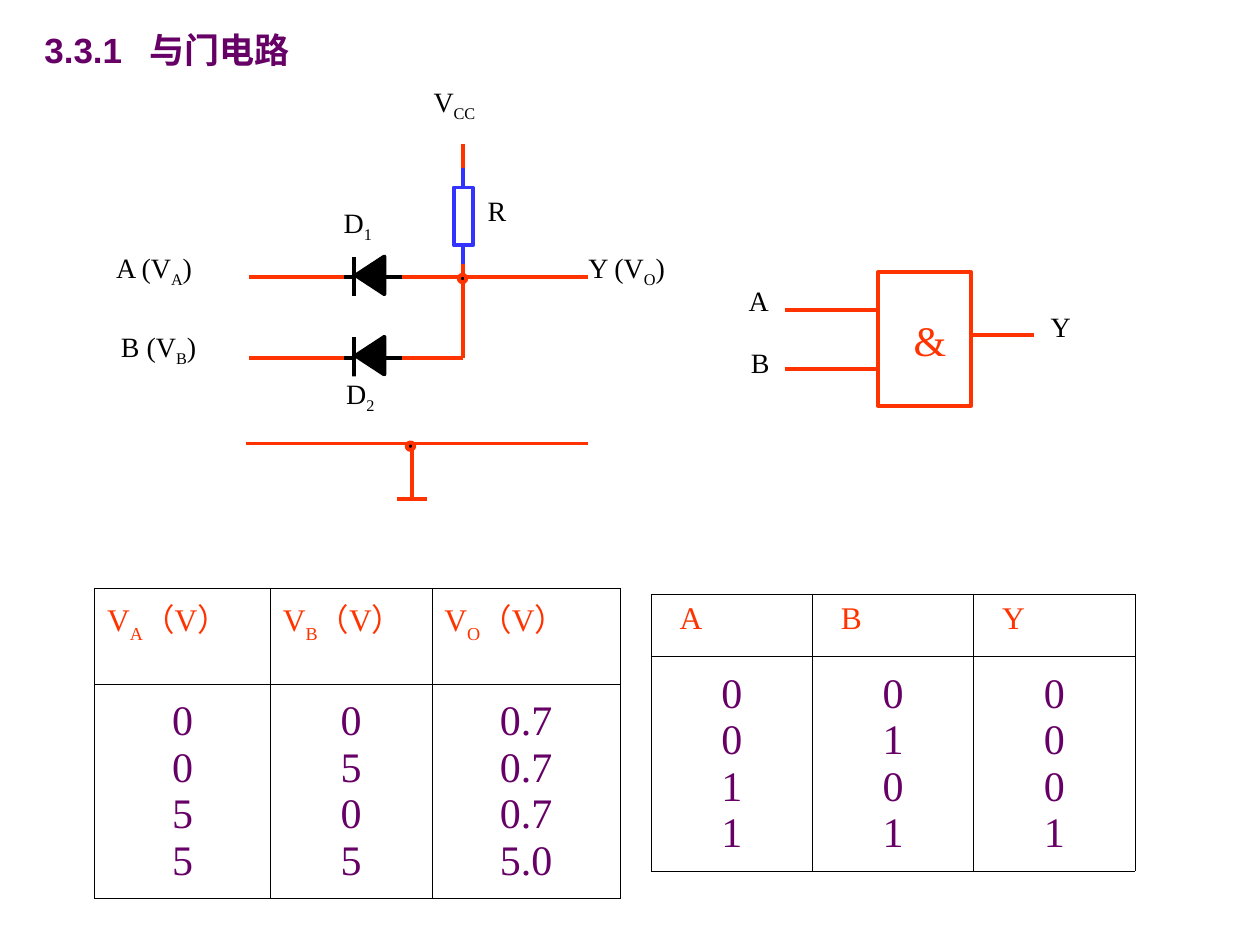
from dataclasses import dataclass

from lxml import etree
from pptx import Presentation
from pptx import util as u
from pptx.dml.color import RGBColor
from pptx.enum import shapes, text
from pptx.oxml import ns


@dataclass(frozen=True)
class Theme:
    """Colours, fonts and sizes of the slide."""
    red: RGBColor = RGBColor(0xFF, 0x33, 0x00)
    blue: RGBColor = RGBColor(0x33, 0x33, 0xFF)
    purple: RGBColor = RGBColor(0x66, 0x00, 0x66)
    black: RGBColor = RGBColor(0, 0, 0)
    white: RGBColor = RGBColor(0xFF, 0xFF, 0xFF)
    head: str = "Arial"
    body: str = "Times New Roman"
    title: int = 20
    label: int = 16
    header: int = 18
    value: int = 24
    wire: float = 2.25
    border: float = 0.45


T = Theme()
SHAPE = shapes.MSO_SHAPE


def style(p, size, color, name=T.body):
    """Set the font of a whole paragraph."""
    p.font.size, p.font.name = u.Pt(size), name
    p.font.color.rgb = color


def write(p, parts, drop):
    """Add runs to a paragraph, every second one a subscript."""
    for i, part in enumerate(parts):
        r = p.add_run()
        r.text = part
        if i % 2:
            r._r.get_or_add_rPr().set("baseline", str(-1000 * drop))


def wire(s, box, x1, y1, x2, y2, color=T.red):
    """Draw a straight wire in coordinates relative to the box."""
    x, y = box
    c = s.shapes.add_connector(shapes.MSO_CONNECTOR.STRAIGHT, u.Cm(x + x1),
                               u.Cm(y + y1), u.Cm(x + x2), u.Cm(y + y2))
    c.line.color.rgb, c.line.width = color, u.Pt(T.wire)
    etree.SubElement(c._element.spPr, ns.qn("a:effectLst"))
    return c


def part(s, box, kind, x, y, w, h, fill, line):
    """Draw an outlined component shape."""
    sp = s.shapes.add_shape(kind, u.Cm(box[0] + x), u.Cm(box[1] + y), u.Cm(w), u.Cm(h))
    sp.shadow.inherit = False
    sp.fill.solid()
    sp.fill.fore_color.rgb = fill
    sp.line.color.rgb, sp.line.width = line, u.Pt(T.wire)
    return sp


def label(s, box, x, y, w, h, parts, size=T.label, color=T.black):
    """Place a white label without margins."""
    sp = s.shapes.add_textbox(u.Cm(box[0] + x), u.Cm(box[1] + y), u.Cm(w), u.Cm(h))
    sp.fill.solid()
    sp.fill.fore_color.rgb = T.white
    tf = sp.text_frame
    tf.word_wrap = True
    tf.margin_left = tf.margin_right = tf.margin_top = tf.margin_bottom = 0
    p = tf.paragraphs[0]
    style(p, size, color)
    write(p, parts, 25)


def diode(s, box):
    """Draw a diode pointing left, starting at the box origin."""
    sp = part(s, box, SHAPE.ISOSCELES_TRIANGLE, 0.15, -0.33, 0.76, 0.58, T.black, T.black)
    sp.rotation = 270
    for ends in ((0.81, 0, 1.17, 0), (0, 0, 0.2, 0), (0.2, -0.41, 0.2, 0.38)):
        wire(s, box, *ends, color=T.black)


def resistor(s, box):
    """Draw a vertical resistor with both leads."""
    sp = part(s, box, SHAPE.RECTANGLE, 0, 0, 0.38, 1.17, T.white, T.blue)
    for site, start, end in ((0, 0, -0.4), (2, 1.17, 1.55)):
        wire(s, box, 0.19, start, 0.19, end, T.blue).begin_connect(sp, site)


def title(s, box):
    """Fill and place the title."""
    sp = s.shapes.title
    sp.left, sp.top = u.Cm(box[0]), u.Cm(box[1])
    sp.width, sp.height = u.Cm(6.15), u.Cm(1.12)
    tf = sp.text_frame
    tf.auto_size = text.MSO_AUTO_SIZE.NONE
    tf.vertical_anchor = text.MSO_ANCHOR.MIDDLE
    p = tf.paragraphs[0]
    p.alignment = text.PP_ALIGN.LEFT
    tabs = etree.SubElement(p._p.get_or_add_pPr(), ns.qn("a:tabLst"))
    etree.SubElement(tabs, ns.qn("a:tab"), pos=str(u.Cm(2.12)), algn="l")
    style(p, T.title, T.purple, T.head)
    p.font.bold = True
    write(p, ["3.3.1\t与门电路"], 0)


def circuit(s, box):
    """Draw the diode AND circuit."""
    x, y = box
    row_a, row_b, ground = 3.89, 5.51, 7.24
    for ends in ((2.69, row_a, 4.59, row_a), (5.76, row_a, 9.52, row_a),
                 (2.69, row_b, 4.59, row_b), (5.76, row_b, 7, row_b),
                 (7, row_b, 7, 3.35), (7, 1.73, 7, 1.2),
                 (2.61, ground, 9.52, ground), (5.97, ground, 5.97, 8.36),
                 (5.66, 8.36, 6.27, 8.36)):
        wire(s, box, *ends)
    for dot_x, dot_y in ((6.91, 3.84), (5.86, 7.22)):
        part(s, box, SHAPE.OVAL, dot_x, dot_y, 0.15, 0.15, T.black, T.red)
    resistor(s, (x + 6.81, y + 2.08))
    diode(s, (x + 4.59, y + row_b))
    for lx, ly, w, parts in ((6.4, 0, 1.25, ["V", "CC"]), (7.49, 2.21, 1.25, ["R"]),
                             (4.59, 2.44, 1.25, ["D", "1"]), (4.64, 5.89, 1.25, ["D", "2"]),
                             (0, 3.35, 2.51, ["A (V", "A", ")"]),
                             (0.1, 4.95, 2.51, ["B (V", "B", ")"]),
                             (9.52, 3.35, 2.51, ["Y (V", "O", ")"])):
        label(s, box, lx, ly, w, 1.07, parts)
    diode(s, (x + 4.59, y + row_a))


def gate(s, box):
    """Draw the AND gate symbol."""
    part(s, box, SHAPE.RECTANGLE, 2.61, 0, 1.88, 2.69, T.white, T.red)
    for ends in ((0.73, 0.76, 2.61, 0.76), (0.73, 1.95, 2.61, 1.95), (4.49, 1.27, 5.76, 1.27)):
        wire(s, box, *ends)
    for x, y, name in ((0, 0.23, "A"), (0.05, 1.47, "B"), (6.09, 0.76, "Y")):
        label(s, box, x, y, 0.64, 1.07, [name])
    label(s, box, 3.33, 0.86, 0.64, 1.63, ["&"], T.value, T.red)


def outline(cell):
    """Give a cell thin black borders and no fill."""
    pr = cell._tc.get_or_add_tcPr()
    for side in ("lnL", "lnR", "lnT", "lnB"):
        ln = etree.SubElement(pr, ns.qn("a:" + side), w=str(u.Pt(T.border)))
        fill = etree.SubElement(ln, ns.qn("a:solidFill"))
        etree.SubElement(fill, ns.qn("a:srgbClr"), val=str(T.black))
    cell.fill.background()


def truth_table(s, box, widths, head_height, columns, indent=0):
    """Draw a table with one header and one stack of values per column."""
    heights = (head_height, 4.32)
    t = s.shapes.add_table(2, len(columns), u.Cm(box[0]), u.Cm(box[1]),
                           u.Cm(sum(widths)), u.Cm(sum(heights))).table
    t.first_row = t.horz_banding = False
    for row, height in zip(t.rows, heights):
        row.height = u.Cm(height)
    for i, (head, values) in enumerate(columns):
        t.columns[i].width = u.Cm(widths[i])
        top, body = t.cell(0, i), t.cell(1, i)
        outline(top)
        outline(body)
        top.margin_left = u.Cm(0.25 + indent)
        p = top.text_frame.paragraphs[0]
        style(p, T.header, T.red)
        write(p, head, 30)
        body.vertical_anchor = text.MSO_ANCHOR.MIDDLE
        body.text_frame.text = "\n".join(values.split())
        for p in body.text_frame.paragraphs:
            p.alignment = text.PP_ALIGN.CENTER
            style(p, T.value, T.purple)


def main():
    """Build and save the slide."""
    prs = Presentation()
    prs.slide_width, prs.slide_height = u.Cm(25.4), u.Cm(19.05)
    s = prs.slides.add_slide(prs.slide_layouts[5])
    title(s, (0.64, 0.43))
    circuit(s, (2.34, 1.7))
    gate(s, (15.09, 5.49))
    truth_table(s, (1.91, 11.86), (3.54, 3.26, 3.79), 1.93,
                ((["V", "A", "（V）"], "0 0 5 5"), (["V", "B", "（V）"], "0 5 0 5"),
                 (["V", "O", "（V）"], "0.7 0.7 0.7 5.0")))
    truth_table(s, (13.13, 11.99), (3.25,) * 3, 1.25,
                ((["A"], "0 0 1 1"), (["B"], "0 1 0 1"), (["Y"], "0 0 0 1")), 0.32)
    prs.save("out.pptx")


if __name__ == "__main__":
    main()
